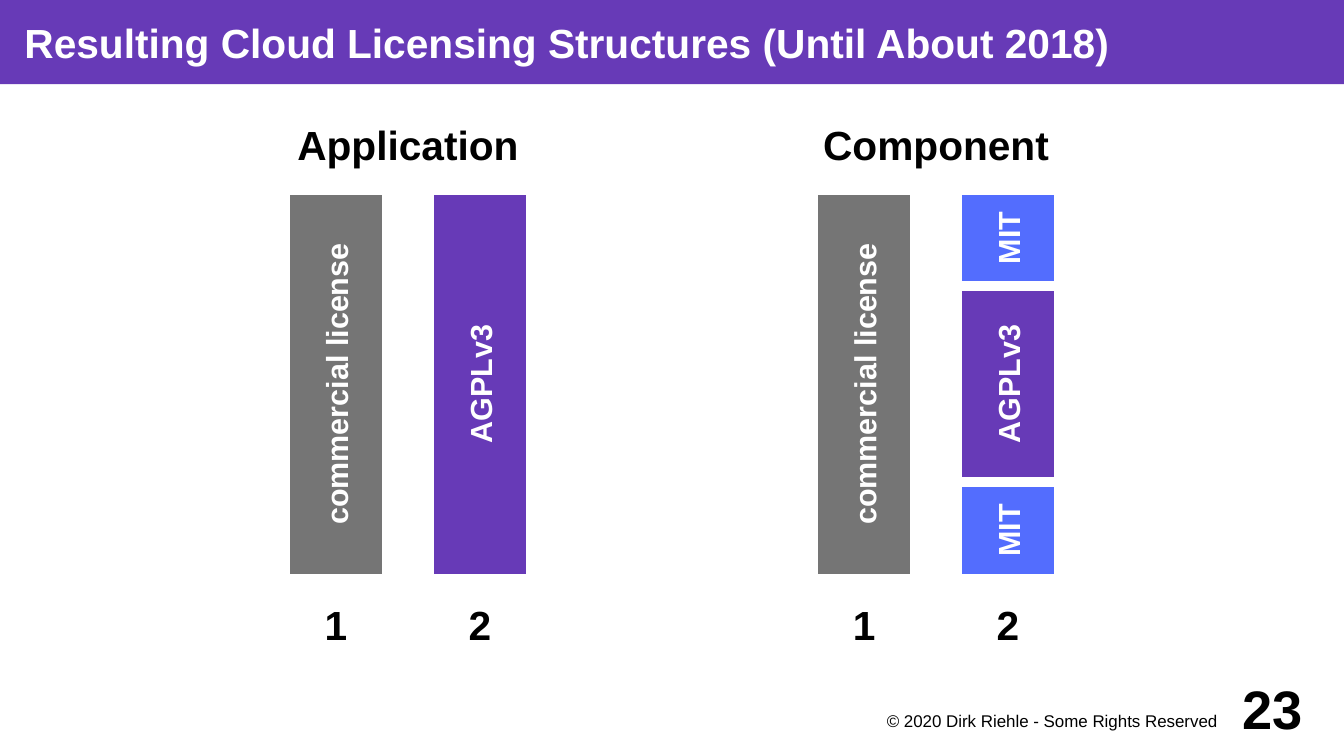
import pptx
import pptx.dml.color
import pptx.enum.shapes
import pptx.enum.text
import pptx.util

Inches = pptx.util.Inches
ALIGN = pptx.enum.text.PP_ALIGN
ANCHOR = pptx.enum.text.MSO_ANCHOR

PURPLE, GRAY, BLUE = "673AB7", "757575", "536DFE"
WHITE, BLACK = "FFFFFF", "000000"
BAR_WIDTH = 0.79
COLUMN_STEP = 1.18
BAR_MIDDLE = 3.15


def color(hex_string):
    return pptx.dml.color.RGBColor.from_string(hex_string)


def write(shape, text, size, hex_string, align=ALIGN.CENTER, bold=True,
          insets=(0.08, 0.08, 0.08, 0.08), wrap=False, anchor=ANCHOR.MIDDLE):
    """Fill a shape with one styled line; insets are left, top, right, bottom."""
    frame = shape.text_frame
    frame.auto_size = pptx.enum.text.MSO_AUTO_SIZE.NONE
    frame.word_wrap = wrap
    frame.vertical_anchor = anchor
    frame.margin_left, frame.margin_top, frame.margin_right, frame.margin_bottom = map(Inches, insets)
    paragraph = frame.paragraphs[0]
    paragraph.alignment = align
    run = paragraph.add_run()
    run.text = text
    run.font.name = "Arial"
    run.font.size = pptx.util.Pt(size)
    run.font.bold = bold
    run.font.color.rgb = color(hex_string)


presentation = pptx.Presentation()
presentation.slide_width = Inches(11.02)
presentation.slide_height = Inches(6.2)
slide = presentation.slides.add_slide(presentation.slide_layouts[5])

title = slide.shapes.title
title.left, title.top, title.width, title.height = map(Inches, (0, 0, 11.02, 0.69))
title.fill.solid()
title.fill.fore_color.rgb = color(PURPLE)
write(title, "Resulting Cloud Licensing Structures (Until About 2018)", 24, WHITE,
      align=ALIGN.LEFT, insets=(0.2, 0, 0, 0), wrap=True)

# Each bar: column, text, fill, length, vertical offset of its centre
commercial = (0, "commercial license", GRAY, 3.15, 0)
structures = [
    ("Component", 6.69, [
        commercial,
        (1, "AGPLv3", PURPLE, 1.57, 0),
        (1, "MIT", BLUE, 0.75, 1.2),
        (1, "MIT", BLUE, 0.75, -1.2),
    ]),
    ("Application", 2.36, [
        commercial,
        (1, "AGPLv3", PURPLE, 3.15, 0),
    ]),
]

for heading, left, bars in structures:
    group = slide.shapes.add_group_shape()
    for column, license_name, fill, length, offset in bars:
        center = left + column * COLUMN_STEP + BAR_WIDTH / 2
        bar = group.shapes.add_shape(
            pptx.enum.shapes.MSO_SHAPE.RECTANGLE,
            Inches(center - length / 2), Inches(BAR_MIDDLE + offset - BAR_WIDTH / 2),
            Inches(length), Inches(BAR_WIDTH))
        bar.rotation = 270
        bar.shadow.inherit = False
        bar.fill.solid()
        bar.fill.fore_color.rgb = color(fill)
        bar.line.color.rgb = color(WHITE)
        bar.line.width = pptx.util.Pt(2.83)
        write(bar, license_name, 18, WHITE)

    for column in range(2):
        number = group.shapes.add_textbox(
            Inches(left + column * COLUMN_STEP), Inches(4.72), Inches(BAR_WIDTH), Inches(0.79))
        write(number, str(column + 1), 24, BLACK)

    label = group.shapes.add_textbox(Inches(left - 0.59), Inches(0.79), Inches(3.15), Inches(0.79))
    write(label, heading, 24, BLACK)

copyright_line = slide.shapes.add_textbox(Inches(7.09), Inches(5.81), Inches(3.15), Inches(0.3))
write(copyright_line, "© 2020 Dirk Riehle - Some Rights Reserved", 10, BLACK, bold=False,
      insets=(0, 0.02, 0.08, 0), wrap=True, anchor=ANCHOR.TOP)

page_number = slide.shapes.add_textbox(Inches(10.04), Inches(5.51), Inches(0.79), Inches(0.59))
write(page_number, "23", 32, BLACK, insets=(0, 0, 0, 0), wrap=True)

presentation.save("out.pptx")
